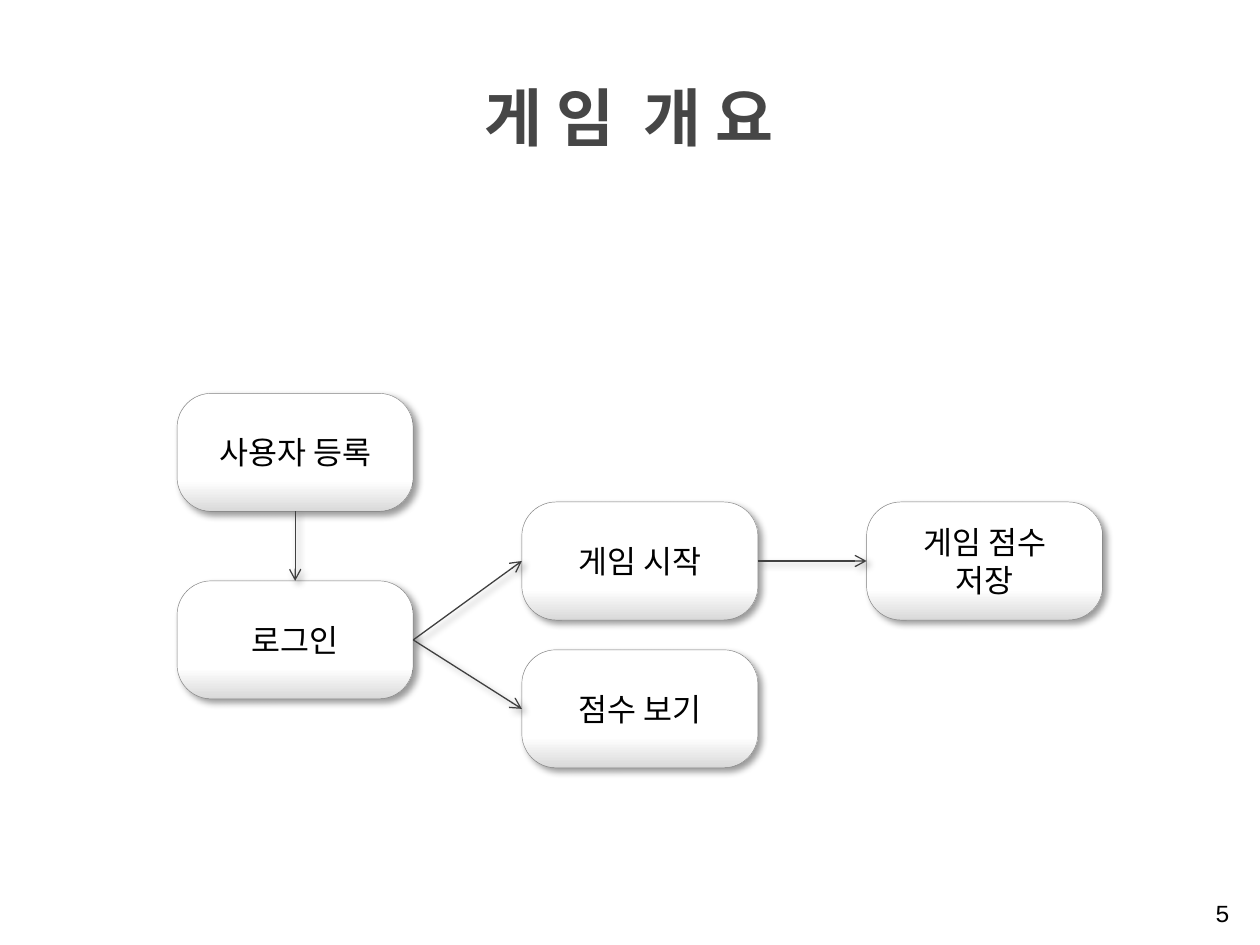
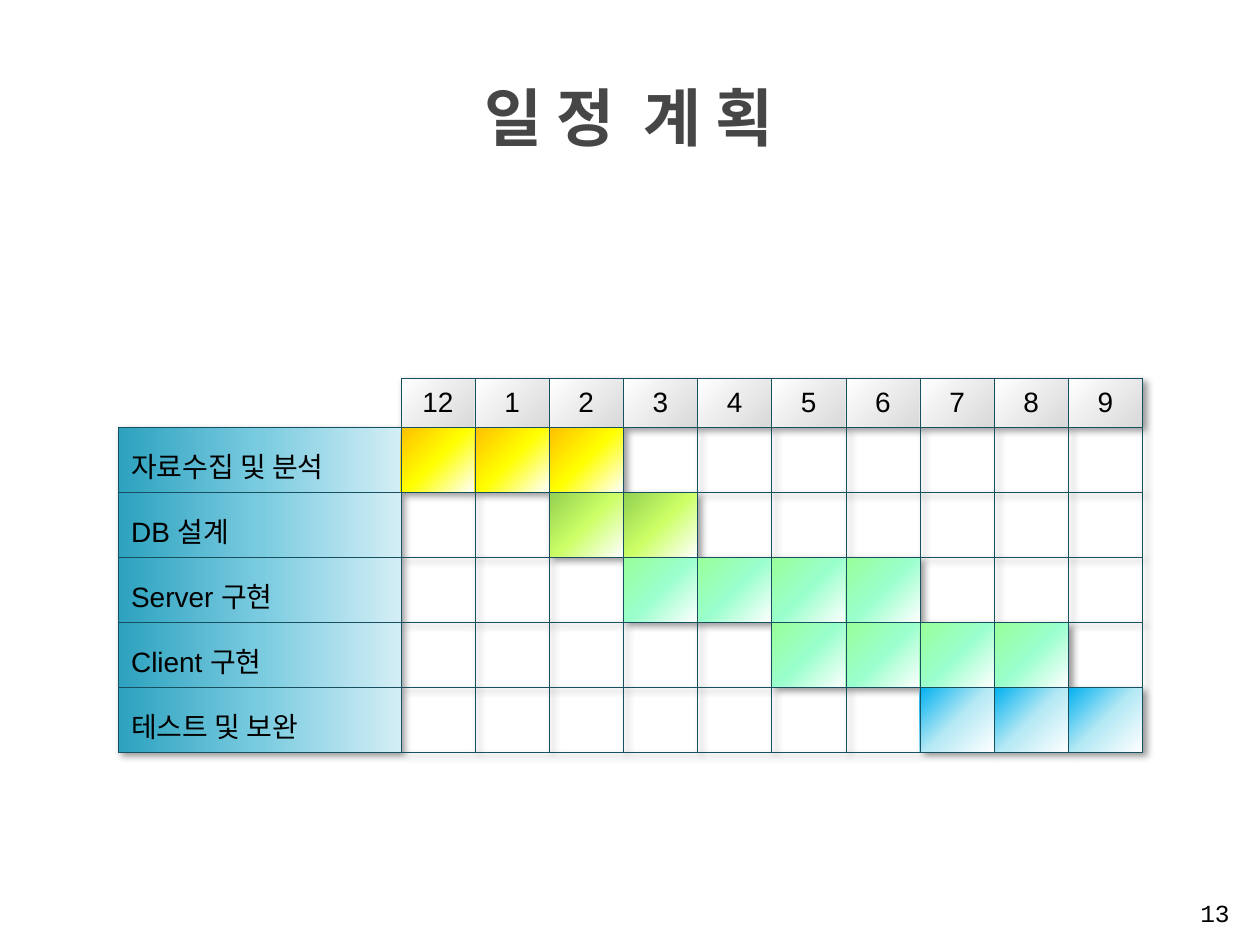
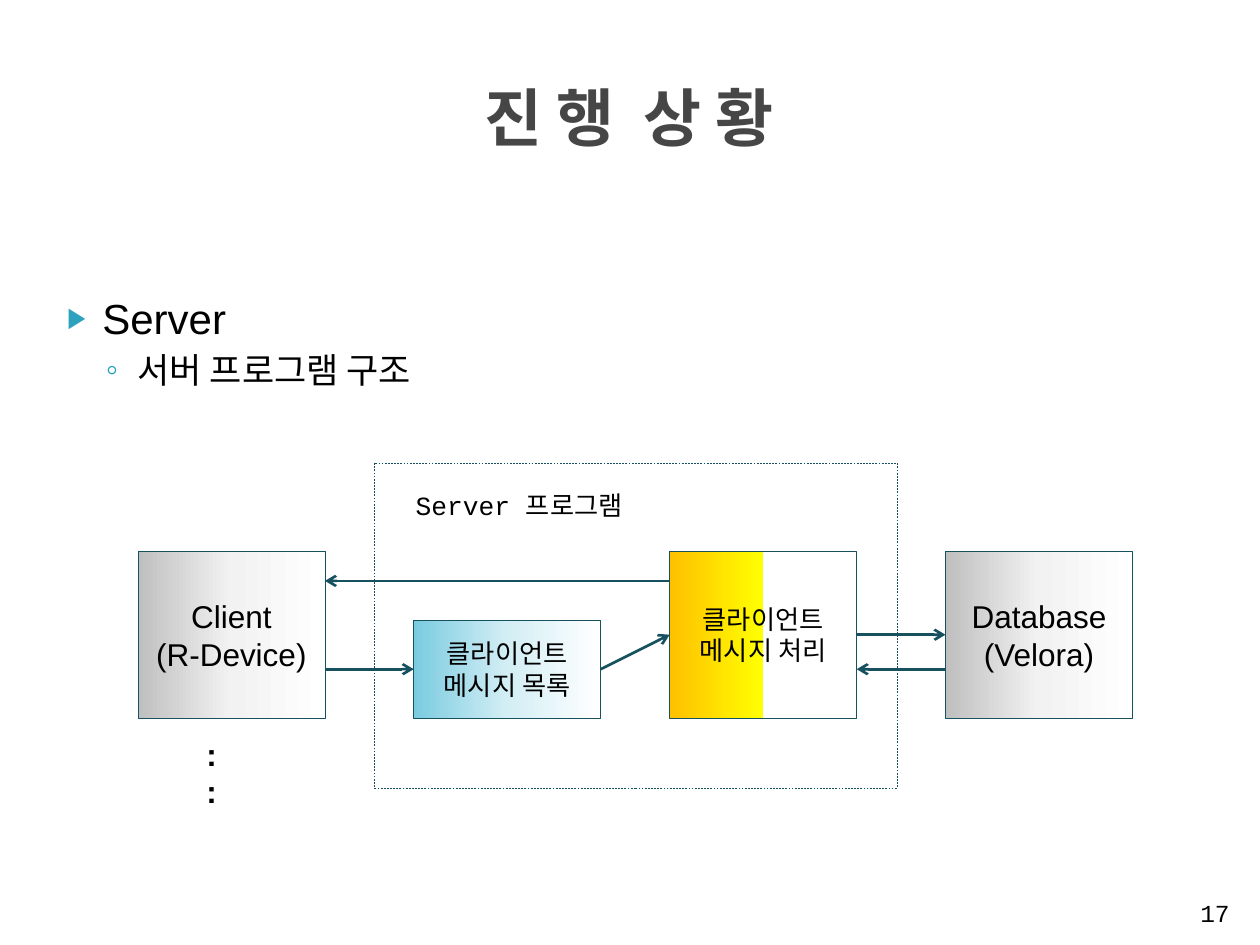
"""Build three slides on a game project: overview, schedule and progress."""
from dataclasses import dataclass

from lxml import etree
from pptx import Presentation
from pptx.dml.color import RGBColor
from pptx.enum.dml import MSO_LINE
from pptx.enum.shapes import MSO_CONNECTOR, MSO_SHAPE
from pptx.enum.text import MSO_ANCHOR, PP_ALIGN
from pptx.oxml.ns import qn
from pptx.util import Cm, Pt

STRAIGHT = MSO_CONNECTOR.STRAIGHT
RECT, ROUNDED = MSO_SHAPE.RECTANGLE, MSO_SHAPE.ROUNDED_RECTANGLE
DASH = MSO_LINE.DASH
MIDDLE, BOTTOM, TOP_ANCHOR = MSO_ANCHOR.MIDDLE, MSO_ANCHOR.BOTTOM, MSO_ANCHOR.TOP
LEFT, CENTER, RIGHT = PP_ALIGN.LEFT, PP_ALIGN.CENTER, PP_ALIGN.RIGHT
SITE_TOP, SITE_LEFT, SITE_BOTTOM, SITE_RIGHT = range(4)
TITLE_AND_BODY, TITLE_ONLY = 1, 5
SANS, MONO = "Arial", "Courier New"
NO_TABLE_STYLE = "{2D5ABB26-0587-4C30-8999-92F81FD0307C}"

COLORS = {
    "text": "000000", "title": "464646", "white": "FFFFFF", "accent": "2DA2BF",
    "edge": "175160", "flow": "404040", "box_edge": "808080", "shadow": "000000",
}
GRADIENTS = {
    "button": ((0, "D9D9D9"), (26, "FFFFFF")),
    "month": ((0, "FFFFFF"), (100, "D9D9D9")),
    "task": ((0, "2DA2BF"), (50, "7ACBE0"), (100, "D3EEF5")),
    "research": ((0, "FFC000"), (50, "FFFF00"), (100, "FFFFFF")),
    "design": ((0, "92D050"), (50, "CCFF66"), (100, "FFFFFF")),
    "build": ((0, "99FF99"), (50, "99FFCC"), (100, "FFFFFF")),
    "test": ((0, "00B0F0"), (50, "B5E9F4"), (100, "FFFFFF")),
    "peer": ((0, "BFBFBF"), (50, "F2F2F2"), (100, "FFFFFF")),
    "queue": ((0, "7ACBE0"), (50, "D3EEF5"), (100, "FFFFFF")),
    "handler": ((0, "FFC000"), (50, "FFFF00"), (50, "FFFFFF")),
}


@dataclass(frozen=True)
class Box:
    """A filled box with centred text; lengths in centimetres."""
    lines: tuple[str, ...]
    left: float
    top: float
    width: float
    height: float
    gradient: str
    size: int = 18


@dataclass(frozen=True)
class Task:
    """A schedule row that covers months first to last, counted from 0."""
    name: str
    first: int
    last: int
    gradient: str


@dataclass(frozen=True)
class Bullet:
    """A bulleted line; indents in centimetres."""
    text: str
    level: int
    size: int
    margin: float
    hanging: float
    before: float
    char: str
    percent: int


def rgb(name: str) -> RGBColor:
    """Return a named colour."""
    return RGBColor.from_string(COLORS[name])


def set_font(p, size: int, font: str, color: str = "text", bold: bool = False) -> None:
    """Format a whole paragraph."""
    p.font.size, p.font.name, p.font.bold = Pt(size), font, bold
    p.font.color.rgb = rgb(color)


def set_text(tf, lines, size: int, font: str, align=CENTER, anchor=MIDDLE,
             color: str = "text", bold: bool = False) -> None:
    """Write one paragraph for each line."""
    tf.word_wrap, tf.vertical_anchor = True, anchor
    tf.text = "\n".join(lines)
    for p in tf.paragraphs:
        p.alignment = align
        set_font(p, size, font, color, bold)


def set_gradient(fill, element, name: str, angle: int) -> None:
    """Fill with a named gradient, its angle counted clockwise."""
    fill.gradient()
    fill.gradient_angle = 360 - angle if angle else 0
    stops = element.find(".//" + qn("a:gsLst"))
    stops.clear()
    for pos, color in GRADIENTS[name]:
        gs = etree.SubElement(stops, qn("a:gs"), pos=str(pos * 1000))
        etree.SubElement(gs, qn("a:srgbClr"), val=color)


def add_effects(parent, shadow: bool):
    """Add an effect list, empty or with the soft drop shadow."""
    effects = etree.SubElement(parent, qn("a:effectLst"))
    if shadow:
        outer = etree.SubElement(
            effects, qn("a:outerShdw"), blurRad=str(Pt(4)), dist=str(Pt(3)),
            dir=str(45 * 60000), algn="tl", rotWithShape="0")
        color = etree.SubElement(outer, qn("a:srgbClr"), val=COLORS["shadow"])
        etree.SubElement(color, qn("a:alpha"), val="40000")
    return effects


def add_text(s, lines, left: float, top: float, width: float, height: float,
             size: int, font: str, **style) -> None:
    """Add a text box."""
    tb = s.shapes.add_textbox(Cm(left), Cm(top), Cm(width), Cm(height))
    set_text(tb.text_frame, lines, size, font, **style)


def add_box(s, box: Box, shape=RECT, font: str = SANS, edge: str = "edge",
            angle: int = 0, shadow: bool = False):
    """Draw a gradient box with its text."""
    sp = s.shapes.add_shape(shape, Cm(box.left), Cm(box.top), Cm(box.width), Cm(box.height))
    set_gradient(sp.fill, sp._element.spPr, box.gradient, angle)
    sp.line.color.rgb, sp.line.width = rgb(edge), Pt(0.25)
    add_effects(sp._element.spPr, shadow)
    set_text(sp.text_frame, box.lines, box.size, font)
    return sp


def add_arrow(s, start, end, color: str = "edge", width: float = 1.5,
              shadow: bool = False) -> None:
    """Draw an arrow; each end is a (shape, site) pair or an (x, y) point."""
    points = [(Cm(0), Cm(0)) if hasattr(e[0], "shape_id") else (Cm(e[0]), Cm(e[1]))
              for e in (start, end)]
    line = s.shapes.add_connector(STRAIGHT, *points[0], *points[1])
    if hasattr(start[0], "shape_id"):
        line.begin_connect(*start)
    if hasattr(end[0], "shape_id"):
        line.end_connect(*end)
    line.line.color.rgb, line.line.width = rgb(color), Pt(width)
    sp_pr = line._element.spPr
    etree.SubElement(sp_pr.find(qn("a:ln")), qn("a:tailEnd"), type="arrow")
    add_effects(sp_pr, shadow)


def add_slide(prs, title: str, number: int, number_width: float, layout: int = TITLE_ONLY):
    """Add a slide with its title and page number."""
    s = prs.slides.add_slide(prs.slide_layouts[layout])
    sp = s.shapes.title
    sp.left, sp.top, sp.width, sp.height = Cm(0.58), Cm(0.76), Cm(24.21), Cm(3.18)
    set_text(sp.text_frame, [title], 36, MONO, color="title", bold=True)
    add_text(s, [str(number)], 25.04 - number_width, 17.81, number_width, 1.02,
             14, MONO, align=RIGHT, anchor=BOTTOM)
    return s


def build_overview(prs) -> None:
    """Game flow from registration to saved score."""
    s = add_slide(prs, "게 임  개 요", 5, 1.02)
    columns = [3.57 + 6.95 * i for i in range(3)]
    steps = {
        "register": (("사용자 등록",), 0, 7.93),
        "login": (("로그인",), 0, 11.71),
        "play": (("게임 시작",), 1, 10.12),
        "save": (("게임 점수", "저장"), 2, 10.12),
        "scores": (("점수 보기",), 1, 13.1),
    }
    shapes = {}
    for key, (lines, column, top) in steps.items():
        box = Box(lines, columns[column], top, 4.76, 2.38, "button")
        sp = add_box(s, box, ROUNDED, MONO, "box_edge", 270, True)
        sp.adjustments[0] = 0.29
        shapes[key] = sp
    add_arrow(s, (shapes["register"], SITE_BOTTOM), (shapes["login"], SITE_TOP),
              "flow", 0.75, True)
    for source, target in (("login", "play"), ("login", "scores"), ("play", "save")):
        add_arrow(s, (shapes[source], SITE_RIGHT), (shapes[target], SITE_LEFT),
                  "flow", 0.75, True)


def set_borders(cell, sides: str) -> None:
    """Draw thin lines on the given sides of a cell."""
    tc_pr = cell._tc.get_or_add_tcPr()
    for side in sides:
        ln = etree.SubElement(tc_pr, qn(f"a:ln{side}"), w=str(Pt(0.25)))
        solid = etree.SubElement(ln, qn("a:solidFill"))
        etree.SubElement(solid, qn("a:srgbClr"), val=COLORS["edge"])


def build_schedule(prs) -> None:
    """Schedule table by month."""
    s = add_slide(prs, "일 정  계 획", 13, 1.42)
    months = (12, *range(1, 10))
    tasks = (
        Task("자료수집 및 분석", 0, 2, "research"),
        Task("DB 설계", 2, 3, "design"),
        Task("Server 구현", 3, 6, "build"),
        Task("Client 구현", 5, 8, "build"),
        Task("테스트 및 보완", 7, 9, "test"),
    )
    width, name_width, header_height, row_height = 20.65, 5.69, 0.99, 1.31
    frame = s.shapes.add_table(
        len(tasks) + 1, len(months) + 1, Cm(2.39), Cm(7.62), Cm(width),
        Cm(header_height + row_height * len(tasks)))
    table = frame.table
    table.first_row = table.horz_banding = False
    tbl_pr = table._tbl.tblPr
    tbl_pr.find(qn("a:tableStyleId")).text = NO_TABLE_STYLE
    tbl_pr.insert(0, add_effects(tbl_pr, True))
    for i, column in enumerate(table.columns):
        column.width = Cm((width - name_width) / len(months)) if i else Cm(name_width)
    for i, row in enumerate(table.rows):
        row.height = Cm(row_height if i else header_height)
        for j, cell in enumerate(row.cells):
            set_borders(cell, "LRTB" if i or j else "RB")
            cell.vertical_anchor = MIDDLE
            cell.fill.background()
            p = cell.text_frame.paragraphs[0]
            set_font(p, 16, SANS)
            if i == 0 and j:
                p.text, p.alignment = str(months[j - 1]), CENTER
                set_gradient(cell.fill, cell._tc.tcPr, "month", 45)
            elif i and j == 0:
                p.text, p.line_spacing = tasks[i - 1].name, 1.3
                set_gradient(cell.fill, cell._tc.tcPr, "task", 0)
            elif i and tasks[i - 1].first <= j - 1 <= tasks[i - 1].last:
                set_gradient(cell.fill, cell._tc.tcPr, tasks[i - 1].gradient, 45)


def add_bullets(body, bullets) -> None:
    """Write bulleted paragraphs into the body placeholder."""
    tf = body.text_frame
    tf.text = "\n".join(b.text for b in bullets)
    for p, b in zip(tf.paragraphs, bullets):
        p.level, p.space_before, p.space_after = b.level, Pt(b.before), Pt(0)
        set_font(p, b.size, SANS)
        p_pr = p._p.get_or_add_pPr()
        p_pr.set("marL", str(Cm(b.margin)))
        p_pr.set("indent", str(-Cm(b.hanging)))
        marks = [etree.Element(qn(f"a:{tag}"), attrs) for tag, attrs in (
            ("buClr", {}), ("buSzPct", {"val": str(b.percent * 1000)}),
            ("buFont", {"typeface": SANS}), ("buChar", {"char": b.char}))]
        etree.SubElement(marks[0], qn("a:srgbClr"), val=COLORS["accent"])
        p_pr.find(qn("a:defRPr")).addprevious(marks[0])
        for before, mark in zip(marks, marks[1:]):
            before.addnext(mark)


def build_progress(prs) -> None:
    """Structure of the server program."""
    s = add_slide(prs, "진 행  상 황", 17, 1.63, TITLE_AND_BODY)
    body = s.placeholders[1]
    body.left, body.top, body.width, body.height = Cm(0.79), Cm(5.77), Cm(19.84), Cm(4.78)
    add_bullets(body, (
        Bullet("Server", 0, 24, 1.02, 0.71, 4, "▶", 68),
        Bullet("서버 프로그램 구조", 1, 20, 1.73, 0.64, 3.2, "◦", 100),
    ))

    server = s.shapes.add_shape(RECT, Cm(7.55), Cm(9.33), Cm(10.53), Cm(6.56))
    server.shadow.inherit = False
    server.fill.solid()
    server.fill.fore_color.rgb = rgb("white")
    server.line.color.rgb, server.line.width = rgb("edge"), Pt(0.25)
    server.line.dash_style = DASH
    add_text(s, ["Server 프로그램"], 8.13, 9.73, 5.16, 0.89, 15, MONO,
             align=LEFT, anchor=TOP_ANCHOR)

    width, top, height = 3.77, 11.11, 3.37
    client_x, queue_x, handler_x, database_x = 2.78, 8.34, 13.5, 19.06
    reply_y, request_y = 11.71, 13.49
    add_box(s, Box(("Client", "(R-Device)"), client_x, top, width, height, "peer"))
    queue = add_box(s, Box(("클라이언트", "메시지 목록"), queue_x, 12.5, width, 1.98,
                           "queue", 15))
    handler = add_box(s, Box(("클라이언트", "메시지 처리"), handler_x, top, width, height,
                             "handler", 15))
    database = add_box(s, Box(("Database", "(Velora)"), database_x, top, width, height,
                              "peer"))
    add_text(s, [":", ":"], 1.98, 14.68, 4.57, 1.78, 18, SANS, bold=True)

    add_arrow(s, (client_x + width, request_y), (queue, SITE_LEFT))
    add_arrow(s, (queue, SITE_RIGHT), (handler, SITE_LEFT))
    add_arrow(s, (handler, SITE_RIGHT), (database, SITE_LEFT))
    add_arrow(s, (database_x, request_y), (handler_x + width, request_y))
    add_arrow(s, (handler_x, reply_y), (client_x + width, reply_y))


def main() -> None:
    """Build and save the presentation."""
    prs = Presentation()
    prs.slide_width, prs.slide_height = Cm(25.4), Cm(19.05)
    build_overview(prs)
    build_schedule(prs)
    build_progress(prs)
    prs.save("out.pptx")


if __name__ == "__main__":
    main()
